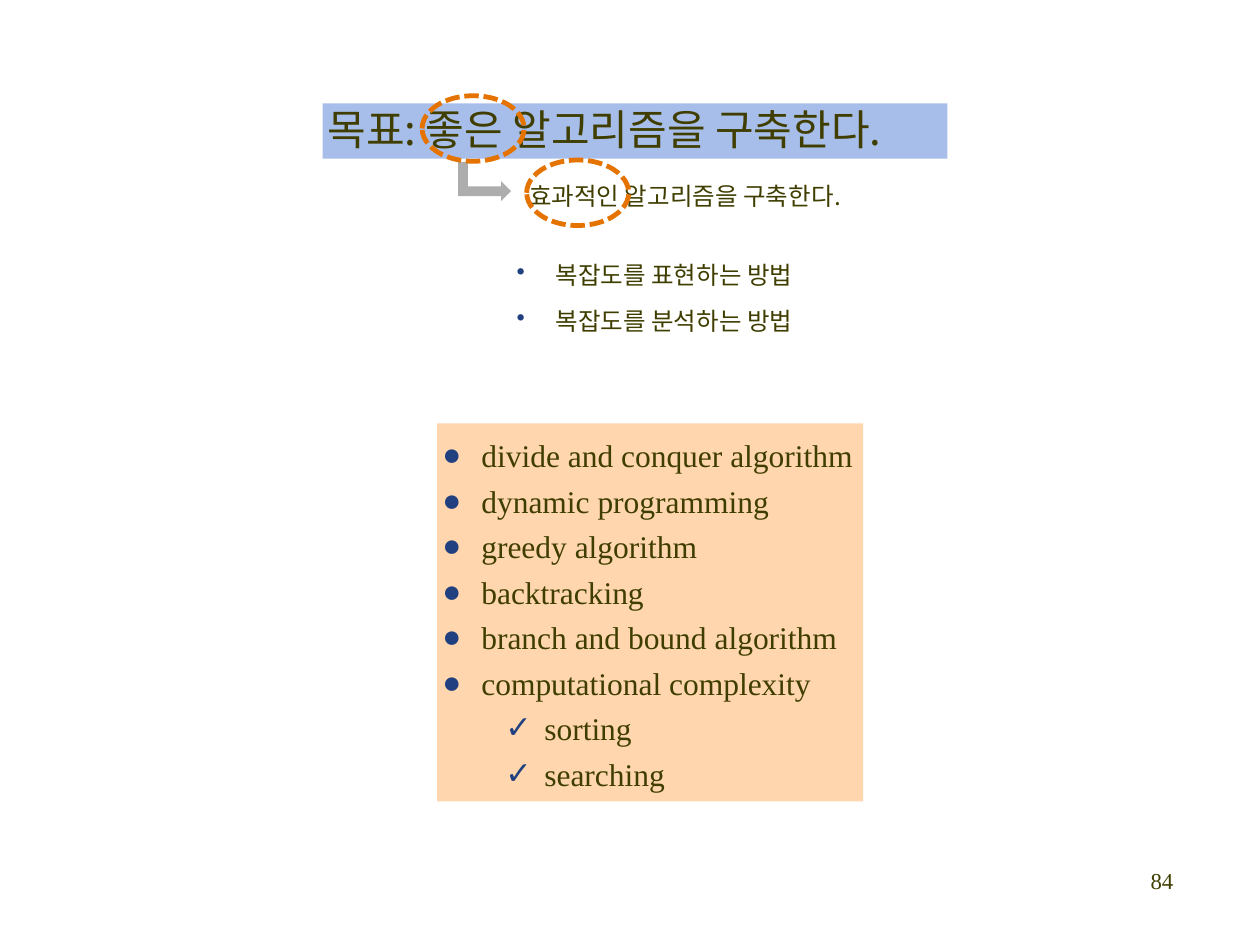
from lxml import etree
from pptx import Presentation
from pptx.dml.color import RGBColor
from pptx.enum.dml import MSO_LINE
from pptx.enum.shapes import MSO_SHAPE
from pptx.enum.text import MSO_ANCHOR, MSO_AUTO_SIZE, PP_ALIGN
from pptx.oxml.ns import qn
from pptx.util import Inches, Pt

OVAL = MSO_SHAPE.OVAL
BENT_ARROW = MSO_SHAPE.BENT_UP_ARROW
DASH = MSO_LINE.SQUARE_DOT
TOP = MSO_ANCHOR.TOP
FIXED_SIZE = MSO_AUTO_SIZE.NONE
LEFT = PP_ALIGN.LEFT
RIGHT = PP_ALIGN.RIGHT

INK = RGBColor(0x3F, 0x3E, 0x00)
BULLET_BLUE = RGBColor(0x20, 0x40, 0x80)
TITLE_BLUE = RGBColor(0xA8, 0xBE, 0xEA)
PEACH = RGBColor(0xFF, 0xD6, 0xAD)
GRAY = RGBColor(0xAD, 0xAD, 0xAD)
ORANGE = RGBColor(0xE5, 0x73, 0x00)
KOREAN = "Noto Sans CJK KR"
SERIF = "Times New Roman"

presentation = Presentation()
presentation.slide_width = Inches(10)
presentation.slide_height = Inches(7.5)
COLUMN = presentation.slide_width / 100
ROW = presentation.slide_height / 75
INSET = Inches(0.04)
HANG = Inches(0.31)
LEVEL_STEP = Inches(0.5)

slide = presentation.slides.add_slide(presentation.slide_layouts[1])


def grid(left, top, width, height):
    return int(left * COLUMN), int(top * ROW), int(width * COLUMN), int(height * ROW)


def write(shape, box, lines, font_name, size, bullets=""):
    shape.left, shape.top, shape.width, shape.height = box
    frame = shape.text_frame
    frame.text = "\n".join(lines)
    frame.word_wrap = True
    frame.auto_size = FIXED_SIZE
    frame.vertical_anchor = TOP
    frame.margin_left = frame.margin_right = INSET
    frame.margin_top = frame.margin_bottom = INSET
    for index, paragraph in enumerate(frame.paragraphs):
        paragraph.alignment = LEFT
        paragraph.line_spacing = Pt(26)
        paragraph.space_before = Pt(0)
        font = paragraph.runs[0].font
        font.name = font_name
        font.size = Pt(size)
        font.color.rgb = INK
        properties = paragraph.runs[0]._r.get_or_add_rPr()
        etree.SubElement(properties, qn("a:ea"), typeface=font_name)
        if bullets:
            level = 1 if bullets[index] == "✓" else 0
            paragraph.level = level
            properties = paragraph._p.get_or_add_pPr()
            properties.set("marL", str(HANG + level * LEVEL_STEP))
            properties.set("indent", str(-HANG))
            color = etree.SubElement(properties, qn("a:buClr"))
            etree.SubElement(color, qn("a:srgbClr"), val=str(BULLET_BLUE))
            etree.SubElement(properties, qn("a:buChar"), char=bullets[index])


title = slide.shapes.title
write(title, grid(25.6, 8.2, 49.6, 4.4), ["목표: 좋은 알고리즘을 구축한다."], KOREAN, 24)
title.fill.solid()
title.fill.fore_color.rgb = TITLE_BLUE

topics = [
    "divide and conquer algorithm",
    "dynamic programming",
    "greedy algorithm",
    "backtracking",
    "branch and bound algorithm",
    "computational complexity",
    "sorting",
    "searching",
]
body = slide.placeholders[1]
write(body, grid(34.7, 33.6, 33.8, 30), topics, SERIF, 18, "●●●●●●✓✓")
body.fill.solid()
body.fill.fore_color.rgb = PEACH

arrow = slide.shapes.add_shape(BENT_ARROW, *grid(36.9, 12.3, 3.1, 4.2))
arrow.rotation = 90
arrow.shadow.inherit = False
arrow.fill.solid()
arrow.fill.fore_color.rgb = GRAY
arrow.line.fill.background()

text_blocks = [
    (grid(41.6, 12.7, 28.1, 4.4), ["효과적인 알고리즘을 구축한다."], KOREAN, 14, ""),
    (grid(40.6, 19, 25, 7.6), ["복잡도를 표현하는 방법", "복잡도를 분석하는 방법"], KOREAN, 14, "••"),
]
for box, lines, font_name, size, bullets in text_blocks:
    write(slide.shapes.add_textbox(*box), box, lines, font_name, size, bullets)

for left, top in [(33.5, 7.6), (41.8, 12.7)]:
    highlight = slide.shapes.add_shape(OVAL, *grid(left, top, 8.1, 5.2))
    highlight.shadow.inherit = False
    highlight.fill.background()
    highlight.line.color.rgb = ORANGE
    highlight.line.width = Pt(2.75)
    highlight.line.dash_style = DASH

page_number = slide.shapes.add_textbox(*grid(73.3, 68.3, 20.8, 5))
page_number.text_frame.word_wrap = True
paragraph = page_number.text_frame.paragraphs[0]
paragraph.text = "84"
paragraph.alignment = RIGHT
paragraph.font.name = SERIF
paragraph.font.size = Pt(13)
paragraph.font.color.rgb = INK

presentation.save("out.pptx")
